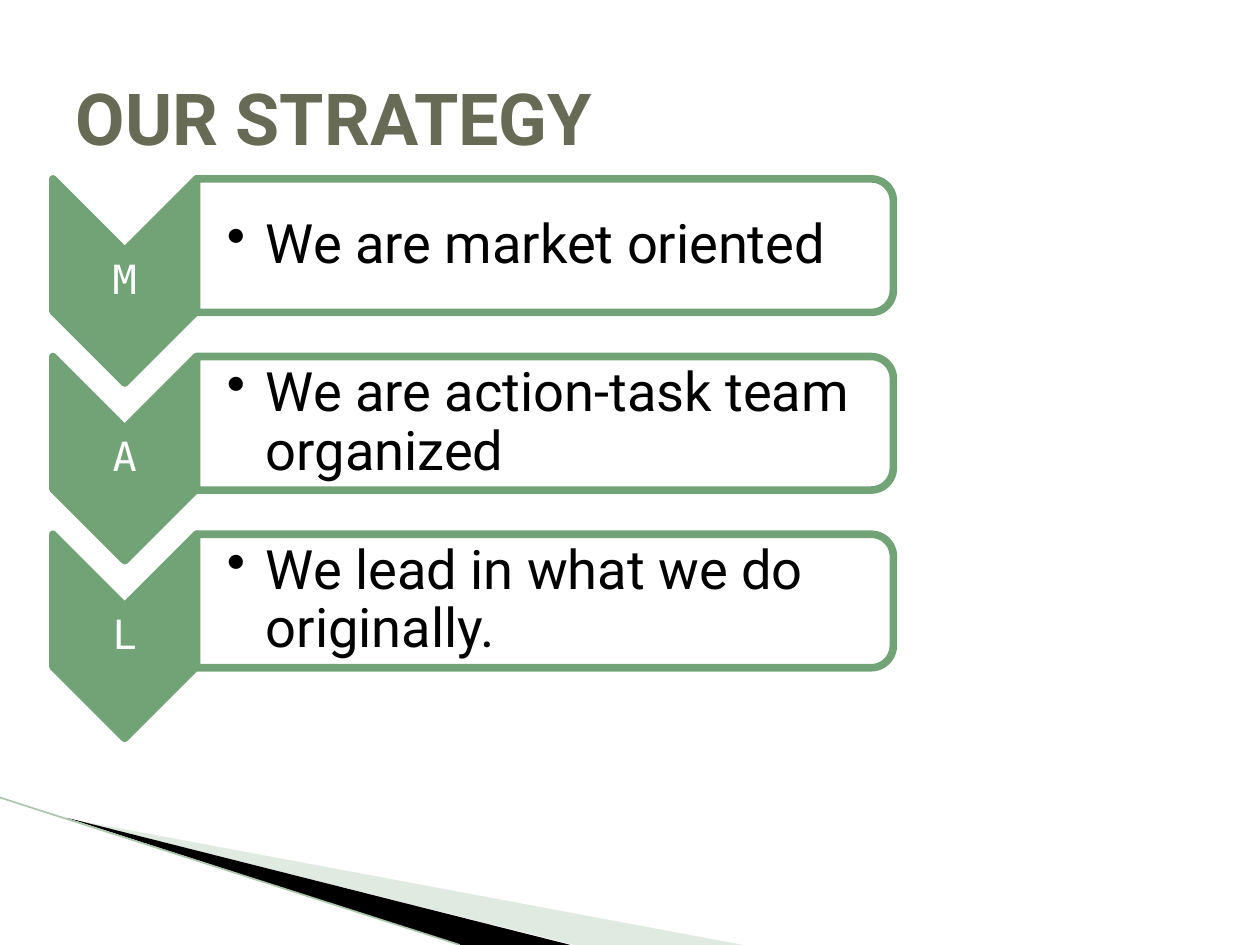
"""Build the strategy slide: three lettered chevrons, each with a statement panel."""
import pptx
import pptx.util
import pptx.dml.color
import pptx.enum.shapes
import pptx.enum.text
import lxml.etree

Inches, Pt = pptx.util.Inches, pptx.util.Pt
RGBColor = pptx.dml.color.RGBColor
SHAPE = pptx.enum.shapes.MSO_SHAPE
ALIGN = pptx.enum.text.PP_ALIGN
MIDDLE = pptx.enum.text.MSO_ANCHOR.MIDDLE

TITLE = "OUR STRATEGY"
STEPS = [
    ("M", "We are market oriented"),
    ("A", "We are action-task team organized"),
    ("L", "We lead in what we do originally."),
]
PALE_WEDGE = [(0.55, 6.5), (5.9, 7.5), (4.56, 7.5)]
DARK_WEDGE = [(0.53, 6.49), (4.53, 7.5), (3.65, 7.5)]
EDGE = [(0, 6.33), (3.65, 7.5)]

WHITE = RGBColor(0xFF, 0xFF, 0xFF)
BLACK = RGBColor(0, 0, 0)
GREEN = RGBColor(0x72, 0xA3, 0x76)
PALE = RGBColor(0xB3, 0xCB, 0xB5)
EDGE_GREEN = RGBColor(0xAC, 0xC6, 0xAE)
OLIVE = RGBColor(0x67, 0x6A, 0x55)

WIDTH, HEIGHT = 10, 7.5
ROW_TOP, ROW_STEP = 1.42, 1.41
CHEVRON_LEFT, CHEVRON_WIDTH, CHEVRON_HEIGHT = 0.42, 1.14, 1.62
PANEL_WIDTH, PANEL_HEIGHT = 5.53, 1.06
PANEL_LEFT = CHEVRON_LEFT + CHEVRON_WIDTH
BOX_INSET = 0.05


def paint(shape, color, opacity=100):
    shape.shadow.inherit = False
    shape.fill.solid()
    shape.fill.fore_color.rgb = color
    if opacity < 100:
        fill = shape.fill._xPr.find(".//" + pptx.oxml.ns.qn("a:srgbClr"))
        lxml.etree.SubElement(fill, pptx.oxml.ns.qn("a:alpha"), val=str(opacity * 1000))


def add_wedge(page, points, color, opacity=100):
    corners = [(x * 100, y * 100) for x, y in points]
    builder = page.shapes.build_freeform(*corners[0], scale=Inches(0.01))
    builder.add_line_segments(corners[1:], close=True)
    wedge = builder.convert_to_shape()
    paint(wedge, color, opacity)
    wedge.line.fill.background()


def add_turned(page, kind, left, top, width, height, color, opacity=100):
    x = left + (width - height) / 2
    y = top + (height - width) / 2
    shape = page.shapes.add_shape(kind, Inches(x), Inches(y), Inches(height), Inches(width))
    shape.rotation = 90
    paint(shape, color, opacity)
    shape.line.color.rgb = GREEN
    shape.line.width = Pt(4.33)
    return shape


def style(para, font, size, color, bold=False):
    for span in para.runs:
        span.font.name, span.font.size, span.font.bold = font, Pt(size), bold
        span.font.color.rgb = color


def add_text(page, text, left, top, width, height, font, size, color, inset=0.02):
    box = page.shapes.add_textbox(Inches(left), Inches(top), Inches(width), Inches(height))
    frame = box.text_frame
    frame.word_wrap = True
    frame.vertical_anchor = MIDDLE
    frame.margin_left = Inches(inset)
    frame.margin_right = frame.margin_top = frame.margin_bottom = Inches(0.02)
    frame.text = text
    para = frame.paragraphs[0]
    para.line_spacing = 0.9
    style(para, font, size, color)
    return para


def add_bullet(para):
    props = para._p.get_or_add_pPr()
    props.set("marL", str(Inches(0.31)))
    props.set("indent", str(-Inches(0.31)))
    lxml.etree.SubElement(props, pptx.oxml.ns.qn("a:buChar"), char="•")


def add_step(page, row, letter, statement):
    top = ROW_TOP + row * ROW_STEP
    add_turned(page, SHAPE.CHEVRON, CHEVRON_LEFT, top, CHEVRON_WIDTH, CHEVRON_HEIGHT, GREEN)
    label = add_text(page, letter, CHEVRON_LEFT, top + CHEVRON_WIDTH / 2, CHEVRON_WIDTH,
                     CHEVRON_HEIGHT - CHEVRON_WIDTH, "DejaVu Sans Mono", 23, WHITE)
    label.alignment = ALIGN.CENTER
    add_turned(page, SHAPE.ROUND_2_SAME_RECTANGLE, PANEL_LEFT, top, PANEL_WIDTH,
               PANEL_HEIGHT, WHITE, 90)
    add_bullet(add_text(page, statement, PANEL_LEFT, top + BOX_INSET, PANEL_WIDTH - BOX_INSET,
                        PANEL_HEIGHT - 2 * BOX_INSET, "Roboto", 31, BLACK, 0.24))


def add_edge(page):
    (x1, y1), (x2, y2) = EDGE
    edge = page.shapes.add_connector(pptx.enum.shapes.MSO_CONNECTOR.STRAIGHT,
                                     Inches(x1), Inches(y1), Inches(x2), Inches(y2))
    edge.line.color.rgb = EDGE_GREEN
    edge.line.width = Pt(0.95)
    lxml.etree.SubElement(edge._element.spPr, pptx.oxml.ns.qn("a:effectLst"))


def add_title(page):
    title = page.shapes.title
    title.left, title.top = Inches(0.5), Inches(0.3)
    title.width, title.height = Inches(WIDTH - 1), Inches(1.25)
    title.text_frame.text = TITLE
    title.text_frame.vertical_anchor = MIDDLE
    para = title.text_frame.paragraphs[0]
    para.alignment = ALIGN.LEFT
    style(para, "Roboto", 41, OLIVE, True)


def main():
    deck = pptx.Presentation()
    deck.slide_width, deck.slide_height = Inches(WIDTH), Inches(HEIGHT)
    page = deck.slides.add_slide(deck.slide_layouts[5])
    add_wedge(page, PALE_WEDGE, PALE, 40)
    add_wedge(page, DARK_WEDGE, BLACK)
    add_edge(page)
    add_title(page)
    for row, (letter, statement) in enumerate(STEPS):
        add_step(page, row, letter, statement)
    deck.save("out.pptx")


if __name__ == "__main__":
    main()
